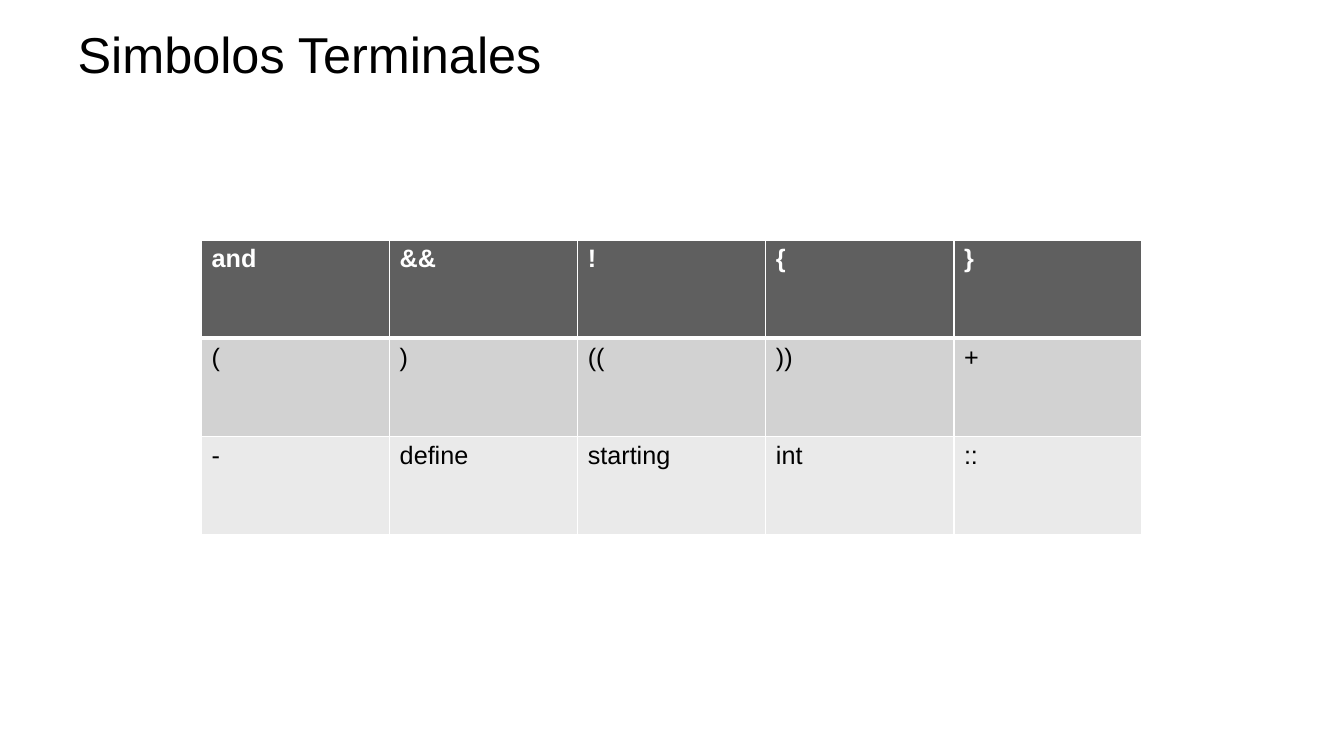
from lxml.etree import SubElement
from pptx import Presentation
from pptx.dml.color import RGBColor
from pptx.enum.text import MSO_ANCHOR, PP_ALIGN
from pptx.oxml.ns import qn
from pptx.util import Cm, Pt

TITLE = "Simbolos Terminales"
SYMBOLS = [
    ["and", "&&", "!", "{", "}"],
    ["(", ")", "((", "))", "+"],
    ["-", "define", "starting", "int", "::"],
]
FILLS = ["5F5F5F", "D2D2D2", "EAEAEA"]
WHITE, BLACK = "FFFFFF", "000000"
TITLE_BOX = Cm(1.7), Cm(0.53), Cm(30.48), Cm(1.63)
TABLE_BOX = Cm(5.08), Cm(6.05), Cm(23.7), Cm(7.41)


def color(code):
    return RGBColor.from_string(code)


def write(frame, text, size=18, ink=BLACK, bold=False):
    frame.text = text
    par = frame.paragraphs[0]
    par.alignment = PP_ALIGN.LEFT
    font = par.runs[0].font
    font.name, font.size, font.bold = "Arial", Pt(size), bold
    font.color.rgb = color(ink)


def border(cell, **widths):
    """Draw white cell edges; keys are L, R, T, B and values are points."""
    props = cell._tc.get_or_add_tcPr()
    for side, width in widths.items():
        line = SubElement(props, qn(f"a:ln{side}"), w=str(Pt(width)))
        fill = SubElement(line, qn("a:solidFill"))
        SubElement(fill, qn("a:srgbClr"), val=WHITE)


def main():
    deck = Presentation()
    deck.slide_width, deck.slide_height = Cm(33.87), Cm(19.05)
    slide = deck.slides.add_slide(deck.slide_layouts[5])

    title = slide.shapes.title
    title.left, title.top, title.width, title.height = TITLE_BOX
    title.text_frame.vertical_anchor = MSO_ANCHOR.MIDDLE
    write(title.text_frame, TITLE, size=36)

    rows, cols = len(SYMBOLS), len(SYMBOLS[0])
    table = slide.shapes.add_table(rows, cols, *TABLE_BOX).table
    for r, (line, fill) in enumerate(zip(SYMBOLS, FILLS)):
        head = r == 0
        for c, text in enumerate(line):
            cell = table.cell(r, c)
            write(cell.text_frame, text, ink=WHITE if head else BLACK, bold=head)
            border(cell, L=1, R=1, T=3 if r == 1 else 1, B=3 if head else 1)
            cell.fill.solid()
            cell.fill.fore_color.rgb = color(fill)

    deck.save("out.pptx")


if __name__ == "__main__":
    main()
